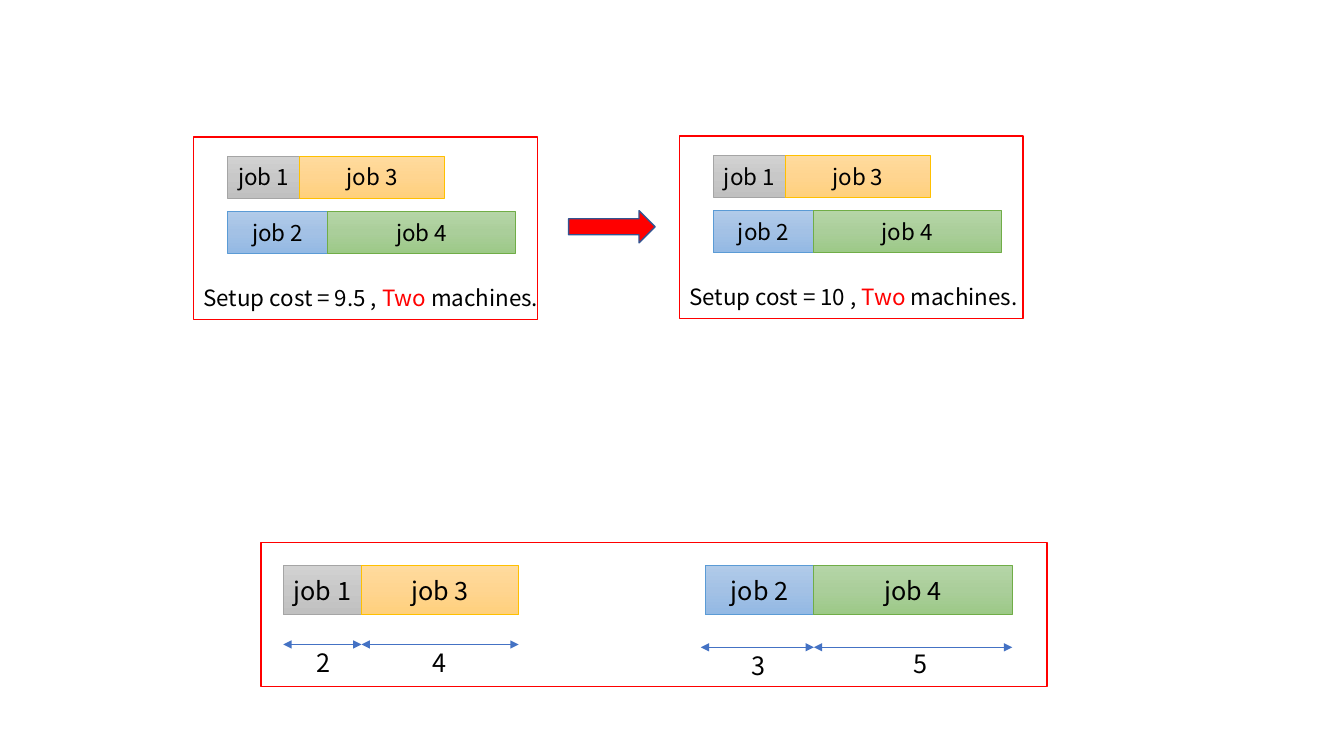
from copy import deepcopy

from pptx import Presentation
from pptx.dml.color import RGBColor
from pptx.enum.shapes import MSO_CONNECTOR, MSO_SHAPE
from pptx.enum.text import MSO_ANCHOR, MSO_AUTO_SIZE, PP_ALIGN
from pptx.oxml.ns import qn
from pptx.util import Cm, Pt
from lxml.etree import SubElement

FONT = "Noto Sans CJK SC"
BLACK, WHITE, RED, BLUE = "000000", "FFFFFF", "FF0000", "4472C4"

# Job number: gradient colours from top to bottom, outline colour
JOBS = {
    1: (("D2D2D2", "C8C8C8", "C0C0C0"), "A5A5A5"),
    2: (("B1CBE9", "A3C1E5", "93B9E4"), "5B9BD5"),
    3: (("FFDB9E", "FFD590", "FFD07C"), "FFC000"),
    4: (("B5D5A7", "AACE9A", "9CC987"), "70AD47"),
}


def rgb(value):
    return RGBColor.from_string(value)


def set_attrs(obj, formats):
    for name, value in formats.items():
        setattr(obj, name, value)


def add_run(p, text, size, color=BLACK):
    r = p.add_run()
    r.text = text
    set_attrs(r.font, {"name": FONT, "size": Pt(size)})
    r.font.color.rgb = rgb(color)


def add_box(slide, kind, box, line, width, fill=None):
    sp = slide.shapes.add_shape(kind, *map(Cm, box))
    sp.shadow.inherit = False
    sp.line.color.rgb = rgb(line)
    sp.line.width = Pt(width)
    if fill:
        sp.fill.solid()
        sp.fill.fore_color.rgb = rgb(fill)
    return sp


def add_text(slide, box, runs, size, spacing=None):
    tf = slide.shapes.add_textbox(*map(Cm, box)).text_frame
    set_attrs(tf, {"word_wrap": True,
                   "auto_size": MSO_AUTO_SIZE.SHAPE_TO_FIT_TEXT})
    p = tf.paragraphs[0]
    if spacing:
        p.line_spacing = spacing
    for text, color in runs:
        add_run(p, text, size, color)


def add_job(slide, job, box, size):
    """One job bar with a three-stop vertical gradient."""
    colors, line = JOBS[job]
    sp = add_box(slide, MSO_SHAPE.RECTANGLE, box, line, 0.5)
    sp.fill.gradient()
    sp.fill.gradient_angle = 270
    first = next(sp._element.spPr.iter(qn("a:gs")))
    first.addnext(deepcopy(first))
    for stop, color, position in zip(sp.fill.gradient_stops, colors, (0, 0.5, 1)):
        stop.color.rgb = rgb(color)
        stop.position = position
    tf = sp.text_frame
    set_attrs(tf, {"word_wrap": False, "vertical_anchor": MSO_ANCHOR.MIDDLE})
    p = tf.paragraphs[0]
    p.alignment = PP_ALIGN.CENTER
    add_run(p, f"job {job}", size)


def add_span(slide, x1, x2, y):
    """Double-headed arrow that measures a job's length."""
    cx = slide.shapes.add_connector(MSO_CONNECTOR.STRAIGHT,
                                    Cm(x1), Cm(y), Cm(x2), Cm(y))
    cx.line.color.rgb = rgb(BLUE)
    cx.line.width = Pt(0.5)
    ln = cx.line._get_or_add_ln()
    for end in ("a:headEnd", "a:tailEnd"):
        SubElement(ln, qn(end)).set("type", "triangle")
    SubElement(cx._element.spPr, qn("a:effectLst"))


def add_schedule(slide, box, cost):
    """Framed two-machine schedule with its setup cost."""
    left, top = box[:2]
    add_box(slide, MSO_SHAPE.RECTANGLE, box, RED, 1, WHITE)
    machines = [((1, 1.81), (3, 3.66)), ((2, 2.52), (4, 4.73))]
    for row, jobs in enumerate(machines):
        x = left + 0.86
        for job, width in jobs:
            add_job(slide, job, (x, top + 0.48 + 1.4 * row, width, 1.06), 16)
            x += width
    add_text(slide, (left, top + 3.24, 9.86, 1.17),
             [(f"Setup cost = {cost} , ", BLACK), ("Two", RED),
              (" machines.", BLACK)], 16, 1.5)


def add_durations(slide, box):
    """Framed job pairs with the length of each job below."""
    left, top = box[:2]
    add_box(slide, MSO_SHAPE.RECTANGLE, box, RED, 1, WHITE)
    # Pair: x, arrow y, first arrow's overhang; job, width, length, label x and y
    pairs = [
        (0.56, 2.57, 0, [(1, 1.97, "2", 0.58, 2.51), (3, 3.96, "4", 1.55, 2.51)]),
        (11.2, 2.64, 0.12, [(2, 2.73, "3", 0.91, 2.59), (4, 5, "5", 2.26, 2.54)]),
    ]
    for offset, arrow_y, overhang, jobs in pairs:
        x = left + offset
        for job, width, length, label_x, label_y in jobs:
            add_job(slide, job, (x, top + 0.58, width, 1.24), 18)
            add_span(slide, x - overhang, x + width, top + arrow_y)
            add_text(slide, (x + label_x, top + label_y, 2.54, 1.02),
                     [(length, BLACK)], 18)
            x += width
            overhang = 0


def main():
    prs = Presentation()
    set_attrs(prs, {"slide_width": Cm(33.87), "slide_height": Cm(19.05)})
    slide = prs.slides.add_slide(prs.slide_layouts[6])

    # Job lengths
    add_durations(slide, (6.58, 13.67, 19.81, 3.63))
    # Schedules before and after
    add_schedule(slide, (4.88, 3.45, 8.66, 4.6), "9.5")
    add_box(slide, MSO_SHAPE.RIGHT_ARROW, (14.33, 5.31, 2.18, 0.81),
            "325491", 1, RED)
    add_schedule(slide, (17.12, 3.43, 8.66, 4.6), "10")

    prs.save("out.pptx")


if __name__ == "__main__":
    main()
